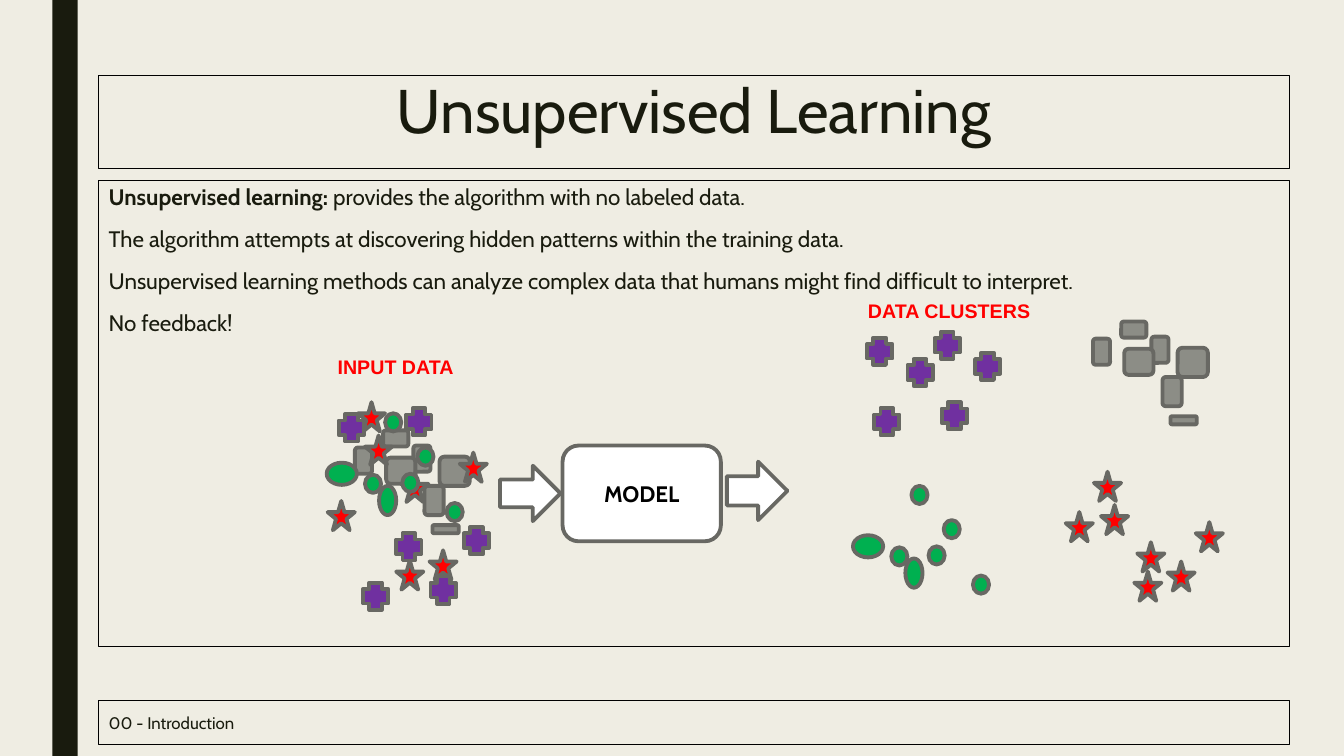
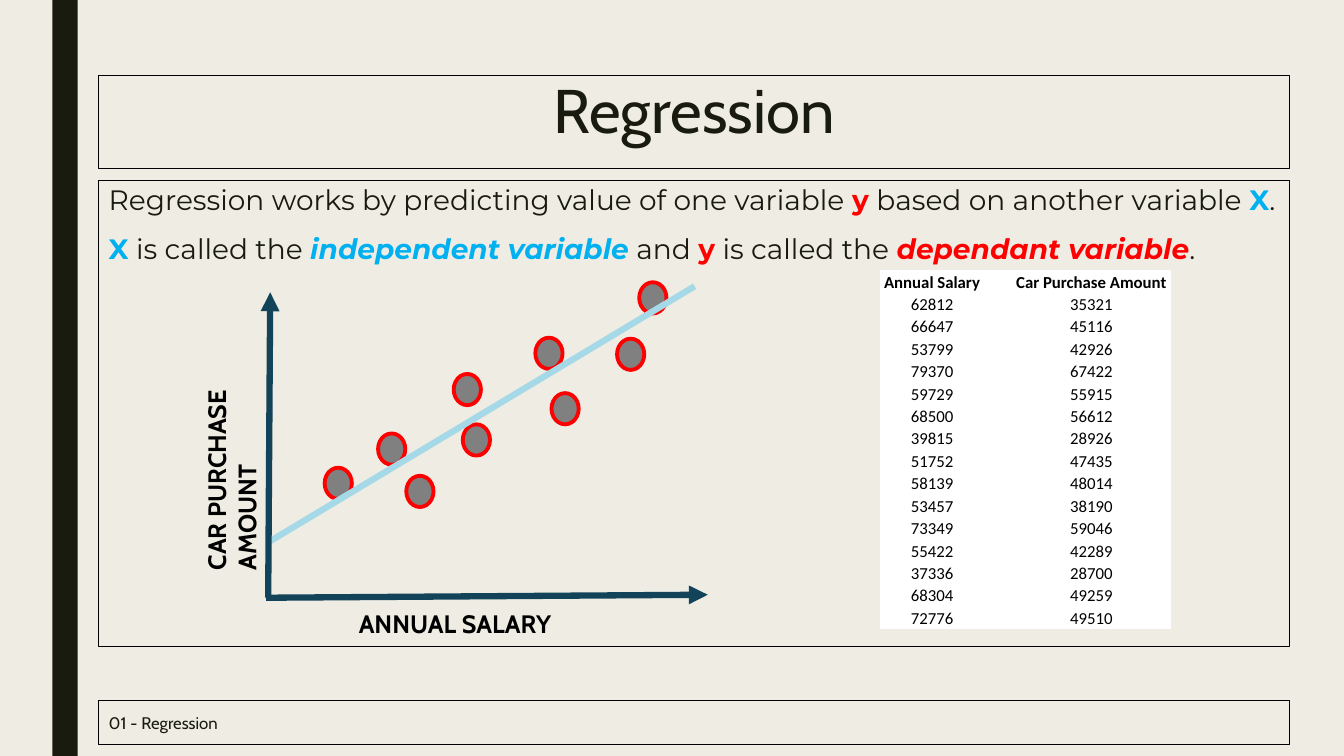
from pptx import Presentation
from pptx.dml.color import RGBColor
from pptx.enum.shapes import MSO_CONNECTOR, MSO_SHAPE as Preset
from pptx.enum.text import MSO_ANCHOR as Anchor, MSO_AUTO_SIZE as AutoSize, PP_ALIGN as Align
from pptx.oxml.ns import qn
from pptx.util import Inches, Pt
from lxml.etree import SubElement

BACKGROUND = RGBColor(0xEF, 0xED, 0xE3)
INK = RGBColor(0x19, 0x1B, 0x0E)
BLACK = RGBColor(0, 0, 0)
WHITE = RGBColor(0xFF, 0xFF, 0xFF)
RED = RGBColor(0xFF, 0, 0)
BLUE = RGBColor(0, 0xB0, 0xF0)
GREEN = RGBColor(0, 0xB0, 0x50)
PURPLE = RGBColor(0x70, 0x30, 0xA0)
BOX_GRAY = RGBColor(0x8C, 0x8D, 0x86)
OUTLINE = RGBColor(0x68, 0x68, 0x63)
DOT_GRAY = RGBColor(0x80, 0x80, 0x80)
AXIS = RGBColor(0x12, 0x43, 0x59)
TREND = RGBColor(0xA5, 0xD9, 0xE7)

FRAME_LEFT, FRAME_WIDTH = 0.98, 11.81
TITLE = {"name": "Cabin", "size": Pt(44), "color": INK}
BODY = {"name": "Cabin", "size": Pt(16), "color": INK}
FOOTER = {"name": "Cabin", "size": Pt(12), "color": INK}
MODEL = {"name": "Cabin", "size": Pt(16), "color": BLACK, "bold": True}
DATA_LABEL = {"name": "Arial", "size": Pt(14), "color": RED, "bold": True}
AXIS_LABEL = {"name": "Cabin", "size": Pt(18), "color": BLACK, "bold": True}
REGRESSION_BODY = {"name": "Montserrat", "size": Pt(20), "color": INK}
TABLE_TEXT = {"name": "Calibri", "size": Pt(12), "color": BLACK}
BODY_SPACING = {"line_spacing": 0.94, "space_before": Pt(10), "space_after": Pt(2)}


class Deck:
    """Holds the shared style and the slide being drawn."""

    def __init__(self):
        self.presentation = Presentation()
        self.presentation.slide_width = Inches(13.33)
        self.presentation.slide_height = Inches(7.5)
        background = self.presentation.slide_master.background.fill
        background.solid()
        background.fore_color.rgb = BACKGROUND
        self.slide = None

    def add_slide(self, title, footer, body, body_format):
        layout = self.presentation.slide_layouts.get_by_name("Title Only")
        self.slide = self.presentation.slides.add_slide(layout)
        self.shape(Preset.RECTANGLE, 0.52, 0, 0.25, 7.5, INK)
        heading = self.slide.shapes.title
        heading.left, heading.top = Inches(FRAME_LEFT), Inches(0.75)
        heading.width, heading.height = Inches(FRAME_WIDTH), Inches(0.92)
        heading.text_frame.auto_size = AutoSize.NONE
        self.outline(heading, BLACK, 0.75)
        self.fill_text(heading, [[(title, {})]], TITLE, Anchor.TOP,
                       alignment=Align.CENTER, line_spacing=0.89)
        self.frame(1.79, 4.62, body, body_format, Anchor.TOP, **BODY_SPACING)
        self.frame(6.95, 0.44, [[(footer, {})]], FOOTER, Anchor.MIDDLE)

    def frame(self, top, height, paragraphs, text_format, anchor, **spacing):
        """Draw a thin full-width frame with text."""
        box = self.slide.shapes.add_textbox(
            Inches(FRAME_LEFT), Inches(top), Inches(FRAME_WIDTH), Inches(height))
        box.text_frame.word_wrap = True
        self.outline(box, BLACK, 0.75)
        self.fill_text(box, paragraphs, text_format, anchor, **spacing)

    def label(self, text, left, top, width, height, text_format, wrap=True, rotation=0):
        box = self.slide.shapes.add_textbox(
            Inches(left), Inches(top), Inches(width), Inches(height))
        box.rotation = rotation
        box.text_frame.word_wrap = wrap
        box.text_frame.auto_size = AutoSize.SHAPE_TO_FIT_TEXT
        self.fill_text(box, [[(text, {})]], text_format, Anchor.TOP)

    def shape(self, preset, left, top, width, height, fill, line=None, line_width=2.75):
        shape = self.slide.shapes.add_shape(
            preset, Inches(left), Inches(top), Inches(width), Inches(height))
        shape.shadow.inherit = False
        shape.fill.solid()
        shape.fill.fore_color.rgb = fill
        if line is None:
            shape.line.fill.background()
        else:
            self.outline(shape, line, line_width)
        return shape

    def line(self, start, end, color, arrow=False):
        points = [Inches(value) for value in (*start, *end)]
        connector = self.slide.shapes.add_connector(MSO_CONNECTOR.STRAIGHT, *points)
        self.outline(connector, color, 4.5)
        properties = connector._element.spPr
        if arrow:
            SubElement(properties.find(qn("a:ln")), qn("a:tailEnd"), type="triangle")
        SubElement(properties, qn("a:effectLst"))

    def table(self, left, top, height, column_widths, rows):
        frame = self.slide.shapes.add_table(
            len(rows), len(column_widths), Inches(left), Inches(top),
            Inches(sum(column_widths)), Inches(height))
        for column, width in zip(frame.table.columns, column_widths):
            column.width = Inches(width)
        for row_index, row in enumerate(rows):
            for column_index, text in enumerate(row):
                cell = frame.table.cell(row_index, column_index)
                cell.fill.solid()
                cell.fill.fore_color.rgb = WHITE
                cell.vertical_anchor = Anchor.BOTTOM
                cell.margin_left = cell.margin_right = cell.margin_top = Inches(0.01)
                cell.margin_bottom = 0
                paragraph = cell.text_frame.paragraphs[0]
                paragraph.alignment = Align.CENTER
                if text:
                    self.run(paragraph, text, {**TABLE_TEXT, "bold": row_index == 0})
                else:
                    paragraph._p.get_or_add_endParaRPr().set("sz", "1200")

    def fill_text(self, shape, paragraphs, text_format, anchor, **spacing):
        """Fill a shape with paragraphs, each a list of (text, format changes)."""
        text_frame = shape.text_frame
        text_frame.vertical_anchor = anchor
        for index, runs in enumerate(paragraphs):
            paragraph = text_frame.add_paragraph() if index else text_frame.paragraphs[0]
            for attribute, value in spacing.items():
                setattr(paragraph, attribute, value)
            for text, changes in runs:
                self.run(paragraph, text, {**text_format, **changes})

    @staticmethod
    def run(paragraph, text, text_format):
        run = paragraph.add_run()
        run.text = text
        for attribute, value in text_format.items():
            if attribute == "color":
                run.font.color.rgb = value
            else:
                setattr(run.font, attribute, value)

    @staticmethod
    def outline(shape, color, width):
        shape.line.color.rgb = color
        shape.line.width = Pt(width)


# Each group: preset, fill, shift from the input to its cluster, (left, top, width, height).
STAR, PLUS, DROP = (0.27, 0.29), (0.25, 0.27), (0.16, 0.18)
DATA_GROUPS = [
    (Preset.ROUNDED_RECTANGLE, BOX_GRAY, (7.32, -1.08), [
        (4.1, 4.42, 0.17, 0.26), (4.21, 4.82, 0.19, 0.29), (4.36, 4.53, 0.3, 0.29),
        (4.29, 5.21, 0.26, 0.08), (3.52, 4.44, 0.17, 0.26), (3.8, 4.27, 0.25, 0.16),
        (3.83, 4.54, 0.29, 0.26)]),
    (Preset.STAR_5_POINT, RED, (7.32, 0.11), [
        (3.93, 5.56, *STAR), (4.26, 5.46, *STAR), (3.25, 4.97, *STAR)]),
    (Preset.STAR_5_POINT, RED, (7.3, 0.69), [
        (3.62, 4.32, *STAR), (3.98, 4.69, *STAR), (4.56, 4.49, *STAR), (3.55, 3.99, *STAR)]),
    (Preset.OVAL, GREEN, (5.22, 0.72), [
        (3.76, 4.82, 0.17, 0.29), (3.99, 4.7, *DROP), (4.43, 4.99, *DROP),
        (3.82, 4.1, *DROP), (3.62, 4.71, *DROP), (4.14, 4.44, *DROP),
        (3.24, 4.59, 0.3, 0.22)]),
    (Preset.CROSS, PURPLE, (5.07, -1.73), [
        (3.93, 5.29, *PLUS), (4.6, 5.23, *PLUS), (3.6, 5.78, *PLUS), (4.27, 5.72, *PLUS)]),
    (Preset.CROSS, PURPLE, (5.24, -0.76), [(3.36, 4.11, *PLUS), (4.03, 4.05, *PLUS)]),
]

DOTS = [(3.22, 4.64), (3.75, 4.3), (4.03, 4.72), (4.5, 3.71), (6.34, 2.8),
        (5.31, 3.35), (5.47, 3.9), (4.59, 4.21), (6.12, 3.36)]

PURCHASES = [
    (62812, 35321), (66647, 45116), (53799, 42926), (79370, 67422), (59729, 55915),
    (68500, 56612), (39815, 28926), (51752, 47435), (58139, 48014), (53457, 38190),
    (73349, 59046), (55422, 42289), (37336, 28700), (68304, 49259), (72776, 49510),
]


def draw_unsupervised_learning(deck):
    deck.add_slide("Unsupervised Learning", "00 - Introduction", [
        [("Unsupervised learning: ", {"bold": True}),
         ("provides the algorithm with no labeled data.", {})],
        [("The algorithm attempts at discovering hidden patterns within the training data.", {})],
        [("Unsupervised learning methods can analyze complex data that humans might find "
          "difficult to interpret.", {})],
        [("No feedback!", {})],
    ], BODY)
    model = deck.shape(Preset.ROUNDED_RECTANGLE, 5.58, 4.42, 1.57, 0.95, WHITE, OUTLINE)
    deck.fill_text(model, [[("MODEL", {})]], MODEL, Anchor.MIDDLE, alignment=Align.CENTER)
    deck.shape(Preset.RIGHT_ARROW, 7.21, 4.58, 0.6, 0.58, WHITE, OUTLINE)
    deck.shape(Preset.RIGHT_ARROW, 4.96, 4.62, 0.6, 0.55, WHITE, OUTLINE)
    for preset, fill, (shift_x, shift_y), items in DATA_GROUPS:
        for left, top, width, height in items:
            deck.shape(preset, left, top, width, height, fill, OUTLINE)
            deck.shape(preset, left + shift_x, top + shift_y, width, height, fill, OUTLINE)
    deck.label("INPUT DATA", 3.25, 3.47, 1.41, 0.34, DATA_LABEL, wrap=False)
    deck.label("DATA CLUSTERS", 8.51, 2.92, 1.82, 0.34, DATA_LABEL, wrap=False)


def draw_regression(deck):
    target, feature = {"color": RED, "bold": True}, {"color": BLUE, "bold": True}
    deck.add_slide("Regression", "01 - Regression", [
        [("Regression works by predicting value of one variable ", {}), ("y", target),
         (" based on another variable ", {}), ("X", feature), (".", {})],
        [("X", feature), (" is called the ", {}),
         ("independent variable", {**feature, "italic": True}), (" and ", {}),
         ("y", target), (" is called the ", {}),
         ("dependant variable", {**target, "italic": True}), (".", {})],
    ], REGRESSION_BODY)
    deck.line((2.64, 5.93), (7.02, 5.9), AXIS, arrow=True)
    for left, top in DOTS:
        deck.shape(Preset.OVAL, left, top, 0.27, 0.31, DOT_GRAY, RED)
    deck.label("ANNUAL SALARY", 3.46, 5.99, 2.28, 0.4, AXIS_LABEL)
    deck.label("CAR PURCHASE AMOUNT", 0.63, 4.04, 3.03, 0.4, AXIS_LABEL, rotation=270)
    deck.line((6.89, 2.84), (2.66, 5.38), TREND)
    deck.line((2.66, 5.93), (2.68, 2.9), AXIS, arrow=True)
    rows = [("Annual Salary", "", "Car Purchase Amount")]
    rows += [(str(salary), "", str(amount)) for salary, amount in PURCHASES]
    deck.table(8.73, 2.68, 3.56, (1.03, 0.28, 1.57), rows)


def main():
    deck = Deck()
    draw_unsupervised_learning(deck)
    draw_regression(deck)
    deck.presentation.save("out.pptx")


if __name__ == "__main__":
    main()
